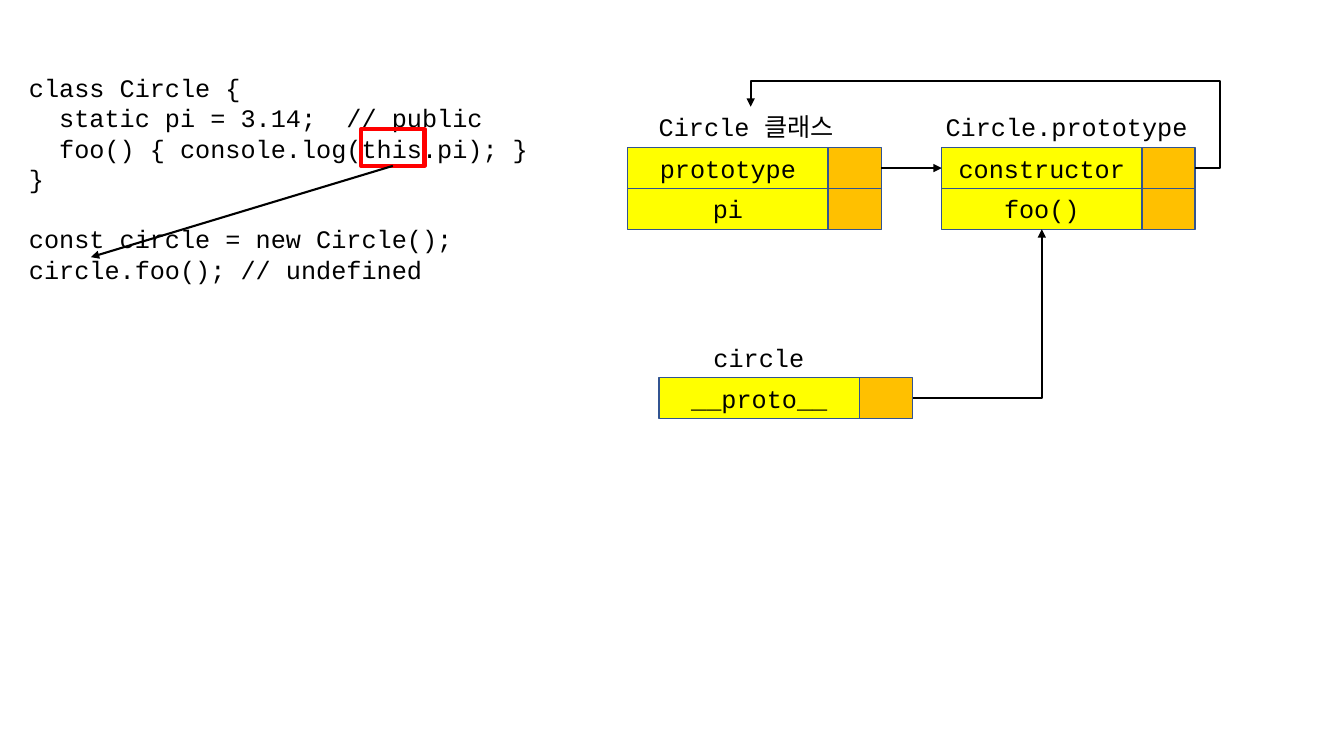
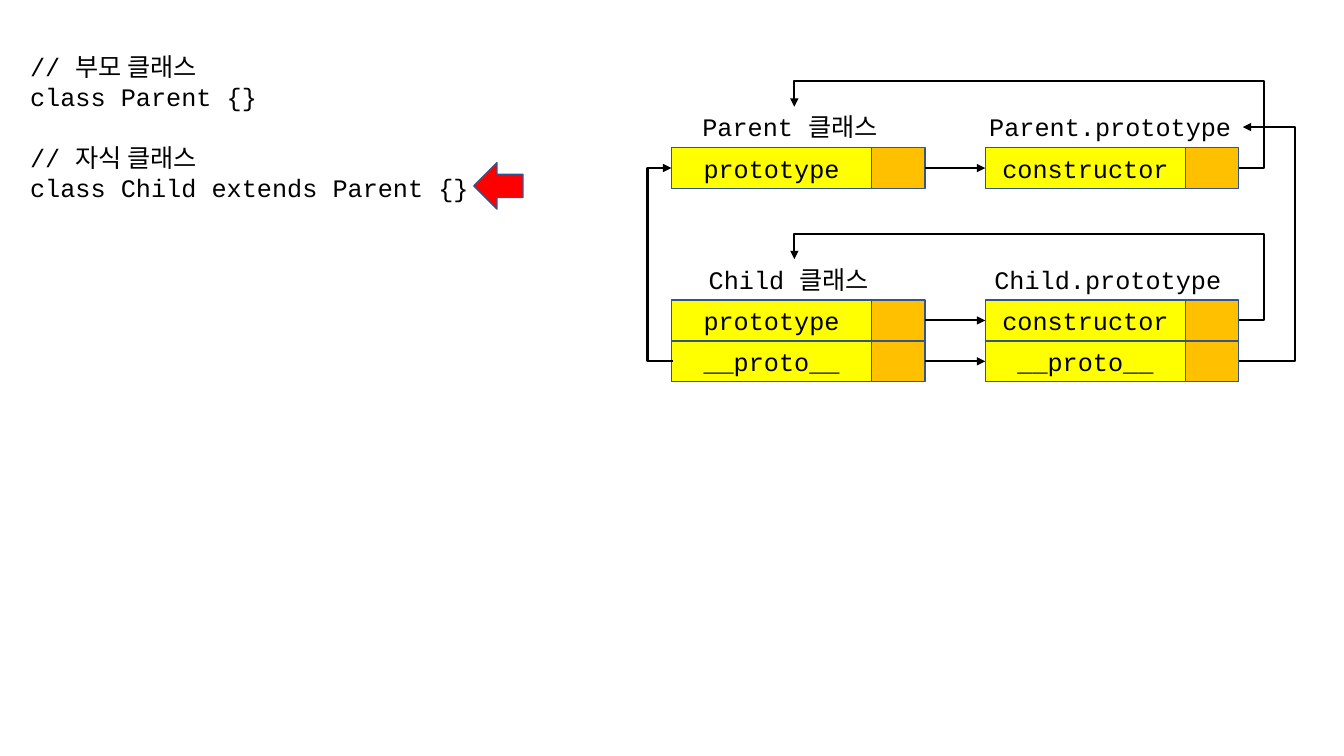
import lxml.etree
import pptx
import pptx.util
import pptx.dml.color
import pptx.enum.shapes
import pptx.enum.text
import pptx.oxml.ns

Cm, Pt = pptx.util.Cm, pptx.util.Pt
SHAPE = pptx.enum.shapes.MSO_SHAPE
CONNECTOR = pptx.enum.shapes.MSO_CONNECTOR

# Shared style, lengths in centimetres
FONT, FONT_SIZE, LINE_PITCH = "Courier New", 18, 21.7
BLACK, RED, YELLOW, ORANGE, EDGE = "000000", "FF0000", "FFFF00", "FFC000", "325491"
NAME_WIDTH, SLOT_WIDTH, ROW_HEIGHT = 5.05, 1.34, 1.03
ROW_WIDTH = NAME_WIDTH + SLOT_WIDTH
COLUMN_PITCH = 7.91
LOOP_REACH, LOOP_TARGET = 0.64, 3.1

# Content: code blocks are separated by one line of space
CIRCLE_CODE = [
    ["class Circle {",
     "  static pi = 3.14;  // public",
     "  foo() { console.log(this.pi); }",
     "}"],
    ["const circle = new Circle();",
     "circle.foo(); // undefined"],
]
PARENT_CODE = [
    ["// 부모 클래스", "class Parent {}"],
    ["// 자식 클래스", "class Child extends Parent {}"],
]
# Each object: title, title offset, title width, member names
CIRCLE_PAIR = [
    ("Circle 클래스", 0.53, 5.11, ["prototype", "pi"]),
    ("Circle.prototype", -0.15, 6.63, ["constructor", "foo()"]),
]
CIRCLE_INSTANCE = ("circle", 1.12, 2.82, ["__proto__"])
PARENT_PAIR = [
    ("Parent 클래스", 0.53, 5.11, ["prototype"]),
    ("Parent.prototype", -0.15, 6.63, ["constructor"]),
]
CHILD_PAIR = [
    ("Child 클래스", 0.69, 4.72, ["prototype", "__proto__"]),
    ("Child.prototype", -0.02, 6.25, ["constructor", "__proto__"]),
]


def colour(value):
    return pptx.dml.color.RGBColor.from_string(value)


def style_text(para):
    for span in para.runs:
        span.font.name = FONT
        span.font.size = Pt(FONT_SIZE)
        span.font.color.rgb = colour(BLACK)


def add_text(page, left, top, width, blocks):
    """Write blocks of lines in one box, with a line of space between blocks."""
    lines = [line for block in blocks for line in block]
    box = page.shapes.add_textbox(Cm(left), Cm(top), Cm(width), Cm(ROW_HEIGHT))
    frame = box.text_frame
    frame.word_wrap = False
    frame.auto_size = pptx.enum.text.MSO_AUTO_SIZE.SHAPE_TO_FIT_TEXT
    frame.text = "\n".join(lines)
    for para in frame.paragraphs:
        style_text(para)
    start = 0
    for block in blocks[:-1]:
        start += len(block)
        frame.paragraphs[start].space_before = Pt(LINE_PITCH)


def add_box(shapes, kind, left, top, width, height, fill=None, edge=EDGE, weight=1):
    box = shapes.add_shape(kind, Cm(left), Cm(top), Cm(width), Cm(height))
    box.shadow.inherit = False
    if fill:
        box.fill.solid()
        box.fill.fore_color.rgb = colour(fill)
    else:
        box.fill.background()
    box.line.color.rgb = colour(edge)
    box.line.width = Pt(weight)
    return box


def add_object(page, left, top, title, offset, title_width, members):
    """Draw a titled stack of rows, each a name and a reference slot."""
    add_text(page, left + offset, top - ROW_HEIGHT, title_width, [[title]])
    for index, member in enumerate(members):
        row = page.shapes.add_group_shape()
        row_top = top + index * ROW_HEIGHT
        name = add_box(row.shapes, SHAPE.RECTANGLE, left, row_top,
                       NAME_WIDTH, ROW_HEIGHT, YELLOW)
        name.text_frame.text = member
        para = name.text_frame.paragraphs[0]
        para.alignment = pptx.enum.text.PP_ALIGN.CENTER
        style_text(para)
        add_box(row.shapes, SHAPE.RECTANGLE, left + NAME_WIDTH, row_top,
                SLOT_WIDTH, ROW_HEIGHT, ORANGE)


def add_element(parent, tag, **attributes):
    lxml.etree.SubElement(parent, pptx.oxml.ns.qn(tag), attributes)


def add_arrow(page, start, end, preset="line", bend_x=None, bend_y=None):
    """Join two points; a bent arrow turns at bend_x, then at bend_y."""
    kind = CONNECTOR.STRAIGHT if preset == "line" else CONNECTOR.ELBOW
    arrow = page.shapes.add_connector(kind, *(Cm(value) for value in start + end))
    arrow.line.color.rgb = colour(BLACK)
    arrow.line.width = Pt(1.5)
    properties = arrow.element.spPr
    add_element(properties.find(pptx.oxml.ns.qn("a:ln")), "a:tailEnd", type="triangle")
    add_element(properties, "a:effectLst")

    geometry = properties.find(pptx.oxml.ns.qn("a:prstGeom"))
    geometry.set("prst", preset)
    guides = geometry.find(pptx.oxml.ns.qn("a:avLst"))
    for axis, bend in enumerate((bend_x, bend_y)):
        if bend is not None:
            share = (bend - start[axis]) / (end[axis] - start[axis])
            add_element(guides, "a:gd", name=f"adj{axis + 1}",
                        fmla=f"val {round(share * 100000)}")


def row_middle(top, index=0):
    return top + (index + 0.5) * ROW_HEIGHT


def add_pair(page, left, top, pair, linked_rows):
    """Draw a class beside its prototype, with the references between them."""
    for column, item in enumerate(pair):
        add_object(page, left + column * COLUMN_PITCH, top, *item)
    for index in linked_rows:
        middle = row_middle(top, index)
        add_arrow(page, (left + ROW_WIDTH, middle), (left + COLUMN_PITCH, middle))
    right = left + COLUMN_PITCH + ROW_WIDTH
    title_top = top - ROW_HEIGHT
    add_arrow(page, (right, row_middle(top)), (left + LOOP_TARGET, title_top),
              "bentConnector4", right + LOOP_REACH, title_top - LOOP_REACH)


def build_circle(page):
    left, top = 15.82, 3.72
    add_text(page, 0.48, 1.7, 13.16, CIRCLE_CODE)
    add_pair(page, left, top, CIRCLE_PAIR, [0])

    # Instance and its link to the prototype
    instance_left, instance_top = 16.61, 9.52
    add_object(page, instance_left, instance_top, *CIRCLE_INSTANCE)
    add_arrow(page, (instance_left + ROW_WIDTH, row_middle(instance_top)),
              (left + COLUMN_PITCH + NAME_WIDTH / 2, top + 2 * ROW_HEIGHT),
              "bentConnector2")

    # What "this" refers to
    add_box(page.shapes, SHAPE.RECTANGLE, 9.1, 3.26, 1.6, 0.92, edge=RED, weight=3)
    add_arrow(page, (9.9, 4.18), (2.29, 6.48))


def build_inheritance(page):
    left, parent_top, child_top = 16.92, 3.72, 7.56
    add_text(page, 0.51, 1.16, 11.99, PARENT_CODE)
    add_box(page.shapes, SHAPE.LEFT_ARROW, 11.94, 4.1, 1.24, 1.17, RED)
    add_pair(page, left, parent_top, PARENT_PAIR, [0])
    add_pair(page, left, child_top, CHILD_PAIR, [0, 1])

    # Links from the child back to the parent
    right = left + COLUMN_PITCH + ROW_WIDTH
    proto_middle = row_middle(child_top, 1)
    add_arrow(page, (right, proto_middle), (right + 0.1, row_middle(parent_top, -1)),
              "bentConnector3", right + 1.41)
    add_arrow(page, (left + 0.04, proto_middle), (left, row_middle(parent_top)),
              "bentConnector3", left - 0.6)


def main():
    deck = pptx.Presentation()
    deck.slide_width, deck.slide_height = Cm(33.87), Cm(19.05)
    for build in (build_circle, build_inheritance):
        build(deck.slides.add_slide(deck.slide_layouts[6]))
    deck.save("out.pptx")


if __name__ == "__main__":
    main()
